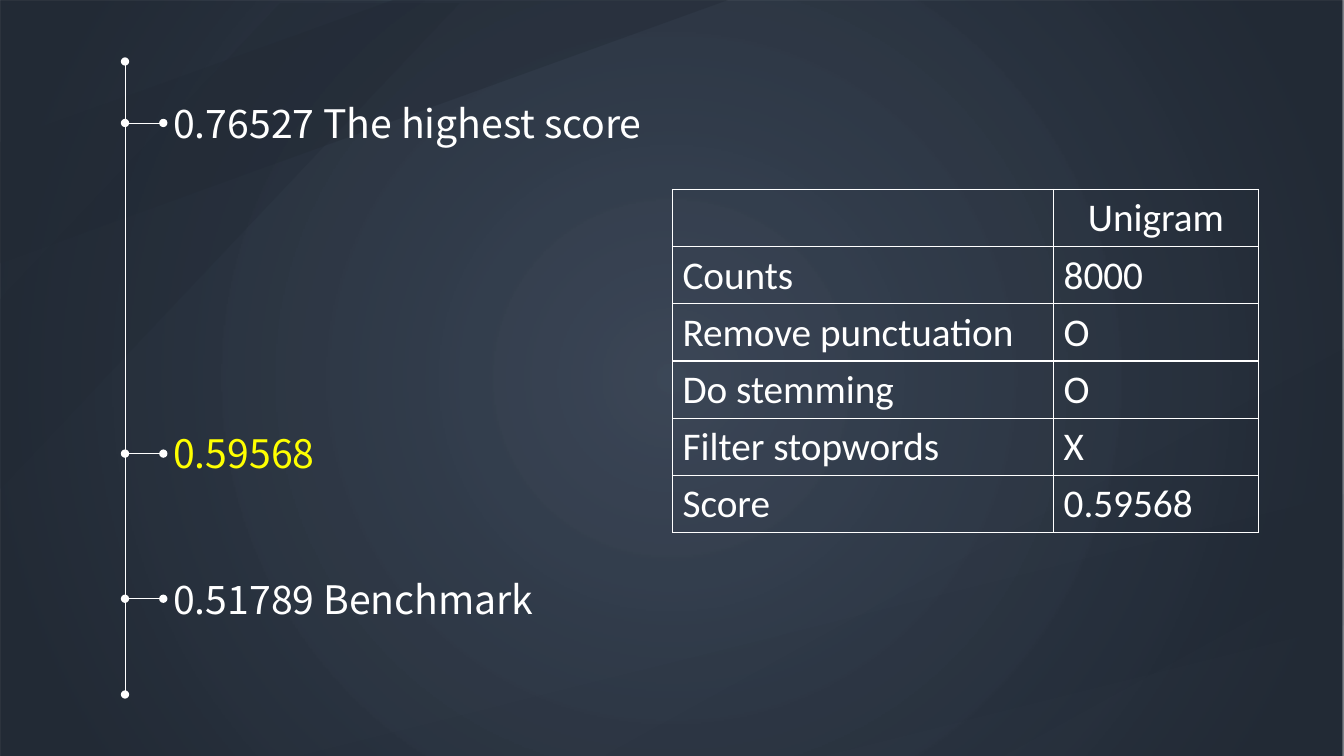
from dataclasses import dataclass

from lxml.etree import SubElement
from pptx import Presentation
from pptx.dml.color import RGBColor
from pptx.enum.shapes import MSO_CONNECTOR as Connector, MSO_SHAPE as Shape
from pptx.enum.text import MSO_AUTO_SIZE as AutoSize, PP_ALIGN as Align
from pptx.oxml import parse_xml
from pptx.oxml.ns import nsdecls, qn
from pptx.util import Inches, Pt


@dataclass(frozen=True)
class Theme:
    center: str = "333F50"
    edge: str = "222A35"
    white: str = "FFFFFF"
    highlight: str = "FFFF00"
    score_font: str = "Noto Sans CJK SC"
    table_font: str = "Calibri"
    text_size: float = 28
    axis_width: float = 0.5
    border_width: float = 1


THEME = Theme()

# Content: label, height on the axis, text box width, colour
SCORES = [
    ("0.51789 Benchmark", 5.94, 3.97, THEME.white),
    ("0.76527 The highest score", 1.22, 5.26, THEME.white),
    ("0.59568", 4.5, 3.97, THEME.highlight),
]
SETTINGS = [
    ("", "Unigram"),
    ("Counts", "8000"),
    ("Remove punctuation", "O"),
    ("Do stemming", "O"),
    ("Filter stopwords", "X"),
    ("Score", "0.59568"),
]
# Background stripes: left, top, width, height, rotation, adjustment, opacity
STRIPES = [
    (0, 0, 7.22, 2.61, 0, 0.54, 40),
    (0, 0.03, 4.56, 4.82, 0, 0.61, 30),
    (6.01, 3.46, 7.32, 4.03, 180, 0.46, 5),
    (2.98, 4.9, 10.36, 2.6, 180, 0.5, 5),
]

# Layout
SLIDE_WIDTH, SLIDE_HEIGHT = 13.33, 7.5
AXIS_X, AXIS_TOP, AXIS_BOTTOM = 1.24, 0.61, 6.89
LABEL_X, LABEL_HEIGHT = 1.62, 0.57
TABLE_LEFT, TABLE_TOP, TABLE_HEIGHT = 6.67, 1.88, 3.4
COLUMN_WIDTHS = (3.78, 2.03)


def color(value):
    return RGBColor.from_string(value)


def style_font(font, name, value):
    font.name = name
    font.size = Pt(THEME.text_size)
    font.color.rgb = color(value)


def add_plain_shape(slide, kind, left, top, width, height):
    shape = slide.shapes.add_shape(
        kind, Inches(left), Inches(top), Inches(width), Inches(height))
    shape.shadow.inherit = False
    shape.line.fill.background()
    return shape


def add_background(slide):
    # Radial gradient
    backdrop = add_plain_shape(
        slide, Shape.RECTANGLE, 0, 0, SLIDE_WIDTH, SLIDE_HEIGHT)
    stops = "".join(
        f'<a:gs pos="{position * 1000}"><a:srgbClr val="{value}">'
        f'<a:alpha val="{opacity * 1000}"/></a:srgbClr></a:gs>'
        for position, value, opacity in [(0, THEME.center, 95), (90, THEME.edge, 100)])
    gradient = parse_xml(
        f'<a:gradFill {nsdecls("a")} rotWithShape="1"><a:gsLst>{stops}</a:gsLst>'
        '<a:path path="circle"><a:fillToRect l="50000" t="50000" r="50000" b="50000"/>'
        '</a:path></a:gradFill>')
    backdrop._element.spPr.find(qn("a:prstGeom")).addnext(gradient)

    # Translucent stripes
    for left, top, width, height, rotation, adjustment, opacity in STRIPES:
        stripe = add_plain_shape(
            slide, Shape.DIAGONAL_STRIPE, left, top, width, height)
        stripe.rotation = rotation
        stripe.adjustments[0] = adjustment
        stripe.fill.solid()
        stripe.fill.fore_color.rgb = color(THEME.edge)
        fill_color = stripe._element.spPr.find(qn("a:solidFill"))[0]
        SubElement(fill_color, qn("a:alpha"), val=str(opacity * 1000))


def add_dotted_line(slide, start, end):
    line = slide.shapes.add_connector(
        Connector.STRAIGHT, *(Inches(value) for value in start + end))
    line.line.color.rgb = color(THEME.white)
    line.line.width = Pt(THEME.axis_width)
    outline = line.line._get_or_add_ln()
    for tag in ("a:headEnd", "a:tailEnd"):
        SubElement(outline, qn(tag), type="oval")
    SubElement(line._element.spPr, qn("a:effectLst"))


def add_score_axis(slide):
    add_dotted_line(slide, (AXIS_X, AXIS_BOTTOM), (AXIS_X, AXIS_TOP))
    for label, y, width, value in SCORES:
        add_dotted_line(slide, (AXIS_X, y), (LABEL_X, y))
        box = slide.shapes.add_textbox(
            Inches(LABEL_X), Inches(y - LABEL_HEIGHT / 2),
            Inches(width), Inches(LABEL_HEIGHT))
        frame = box.text_frame
        frame.word_wrap = True
        frame.auto_size = AutoSize.SHAPE_TO_FIT_TEXT
        frame.text = label
        style_font(frame.paragraphs[0].runs[0].font, THEME.score_font, value)


def add_borders(cell):
    properties = cell._tc.get_or_add_tcPr()
    for index, side in enumerate(("lnL", "lnR", "lnT", "lnB")):
        properties.insert(index, parse_xml(
            f'<a:{side} {nsdecls("a")} w="{Pt(THEME.border_width)}"><a:solidFill>'
            f'<a:srgbClr val="{THEME.white}"/></a:solidFill></a:{side}>'))


def add_settings_table(slide):
    table = slide.shapes.add_table(
        len(SETTINGS), len(COLUMN_WIDTHS), Inches(TABLE_LEFT), Inches(TABLE_TOP),
        Inches(sum(COLUMN_WIDTHS)), Inches(TABLE_HEIGHT)).table
    table.first_row = False
    table.horz_banding = False
    for column, width in zip(table.columns, COLUMN_WIDTHS):
        column.width = Inches(width)
    for row_index, row in enumerate(SETTINGS):
        for column_index, text in enumerate(row):
            cell = table.cell(row_index, column_index)
            cell.fill.background()
            add_borders(cell)
            cell.text_frame.text = text
            paragraph = cell.text_frame.paragraphs[0]
            style_font(paragraph.font, THEME.table_font, THEME.white)
            for run in paragraph.runs:
                style_font(run.font, THEME.table_font, THEME.white)
            if row_index == 0:
                paragraph.alignment = Align.CENTER


def main():
    presentation = Presentation()
    presentation.slide_width = Inches(SLIDE_WIDTH)
    presentation.slide_height = Inches(SLIDE_HEIGHT)
    slide = presentation.slides.add_slide(presentation.slide_layouts[6])
    add_background(slide)
    add_score_axis(slide)
    add_settings_table(slide)
    presentation.save("out.pptx")


if __name__ == "__main__":
    main()
